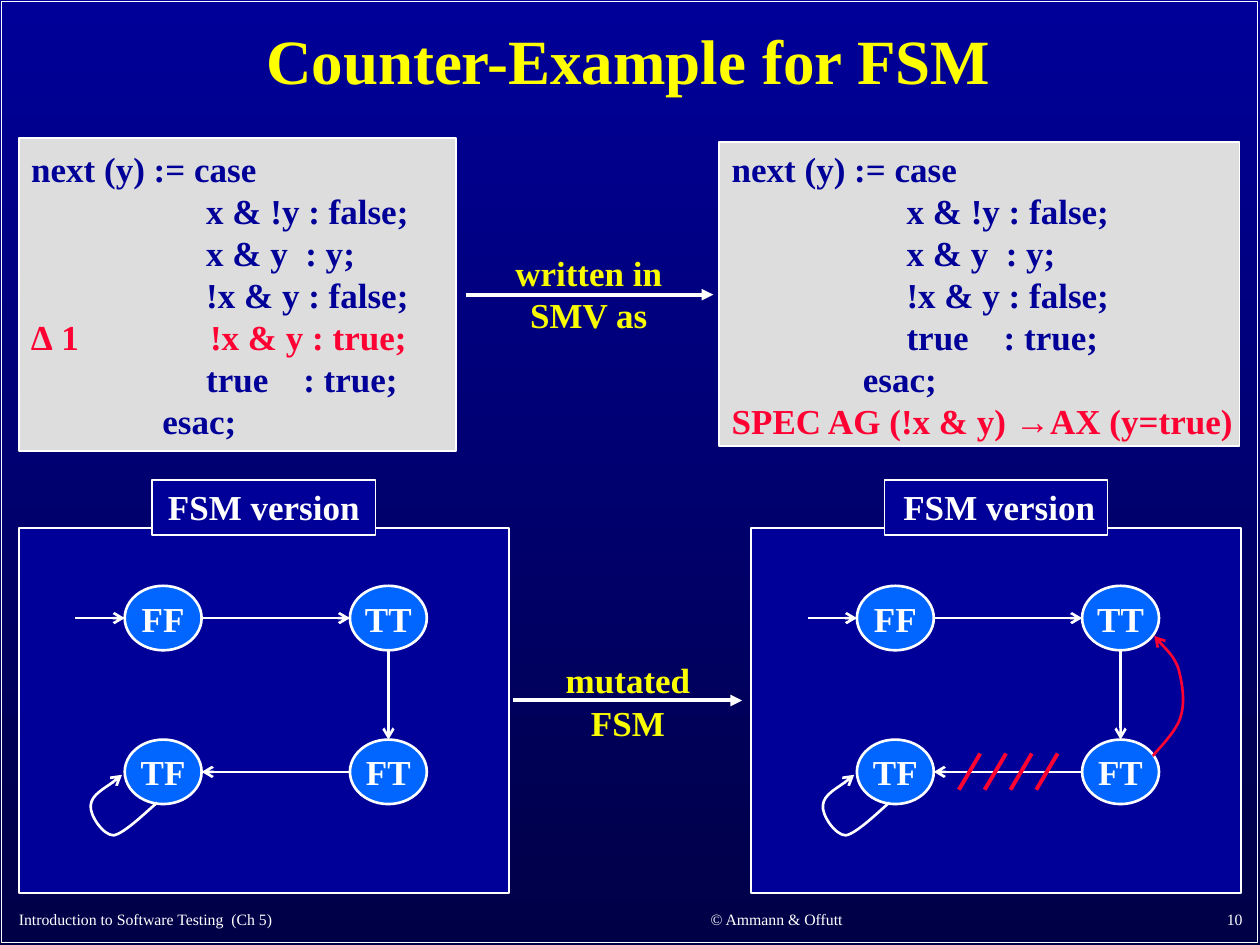
import pptx
import pptx.dml.color
import pptx.enum.shapes
import pptx.enum.text
import pptx.oxml
import pptx.oxml.ns
import pptx.util
from pptx.util import Cm

COLORS = {
    "navy": "000099", "midnight": "000047", "white": "FFFFFF", "gray": "DDDDDD",
    "yellow": "FFFF00", "lemon": "FAFD00", "red": "FF0033", "blue": "0066FF",
}
SHAPES = pptx.enum.shapes.MSO_SHAPE
ALIGN = pptx.enum.text.PP_ALIGN
ANCHOR = pptx.enum.text.MSO_ANCHOR

RED = {"color": "red"}
CODE_START = [
    "next (y) := case",
    "                    x & !y : false;",
    "                    x & y  : y;",
    "                    !x & y : false;",
]
CODE_END = ["                    true    : true;", "               esac;"]
MUTANT = [("∆ 1               !x & y : true;", RED)]
SPECIFICATION = [
    ("SPEC AG (!x & y) ", RED),
    ("→", {"color": "red", "font": "Arial"}),
    ("AX (y=true)", RED),
]

# Lengths below are centimetres; those of a machine start at its panel's corner.
NODE_WIDTH, NODE_HEIGHT = 1.55, 1.3
LEFT_COLUMN, RIGHT_COLUMN = 2.91, 7.45
TOP_ROW, BOTTOM_ROW = 1.82, 4.92
SELF_LOOP = [(2.79, 5.54), (2.64, 5.66), (2.13, 6.17), (1.91, 6.2), (1.7, 6.2),
             (1.42, 5.79), (1.45, 5.59), (1.47, 5.38), (1.96, 5.11), (2.08, 4.98)]
MUTANT_EDGE = [(8.1, 4.6), (8.2, 4.47), (8.59, 4.09), (8.66, 3.81), (8.76, 3.51),
               (8.69, 3.1), (8.61, 2.82), (8.51, 2.57), (8.23, 2.31), (8.13, 2.18)]


def rgb(name):
    return pptx.dml.color.RGBColor.from_string(COLORS[name])


def write_text(shape, paragraphs, size=20, color="white", font="Times New Roman", bold=True,
               align=ALIGN.LEFT, anchor=ANCHOR.TOP, wrap=True, spacing=None, inset=0.25):
    """Fill a shape with strings or lists of (text, format) runs, one per paragraph."""
    frame = shape.text_frame
    frame.word_wrap = wrap
    frame.vertical_anchor = anchor
    frame.margin_left = frame.margin_right = Cm(inset)
    for index, runs in enumerate(paragraphs):
        paragraph = frame.add_paragraph() if index else frame.paragraphs[0]
        paragraph.alignment = align
        if spacing:
            paragraph.line_spacing = spacing
        for text, changes in [(runs, {})] if isinstance(runs, str) else runs:
            run = paragraph.add_run()
            run.text = text
            run.font.size = pptx.util.Pt(size)
            run.font.bold = bold
            run.font.name = changes.get("font", font)
            run.font.color.rgb = rgb(changes.get("color", color))


def add_text(slide, left, top, width, height, text, **text_format):
    box = slide.shapes.add_textbox(Cm(left), Cm(top), Cm(width), Cm(height))
    write_text(box, [text], **text_format)


def add_box(slide, left, top, width, height, fill=None, kind=SHAPES.RECTANGLE, line_width=1):
    shape = slide.shapes.add_shape(kind, Cm(left), Cm(top), Cm(width), Cm(height))
    shape.shadow.inherit = False
    if fill:
        shape.fill.solid()
        shape.fill.fore_color.rgb = rgb(fill)
    else:
        shape.fill.background()
    shape.line.color.rgb = rgb("white")
    shape.line.width = pptx.util.Pt(line_width)
    return shape


def style_line(shape, color, width, head):
    shape.line.color.rgb = rgb(color)
    shape.line.width = pptx.util.Pt(width)
    if head:
        tail = pptx.oxml.parse_xml(
            f'<a:tailEnd {pptx.oxml.ns.nsdecls("a")} type="{head}"/>')
        shape.line._get_or_add_ln().append(tail)


def add_line(slide, start, end, color="white", width=1.5, head="arrow"):
    line = slide.shapes.add_connector(
        pptx.enum.shapes.MSO_CONNECTOR.STRAIGHT, *(Cm(value) for value in (*start, *end)))
    style_line(line, color, width, head)
    line._element.spPr.append(
        pptx.oxml.parse_xml(f'<a:effectLst {pptx.oxml.ns.nsdecls("a")}/>'))


def add_curve(slide, points, color="white"):
    """Draw an arrow along cubic curves: a start, then three points per curve."""
    points = [(Cm(x), Cm(y)) for x, y in points]
    builder = slide.shapes.build_freeform(*points[0])
    builder.add_line_segments(points[1:], close=False)
    curve = builder.convert_to_shape()
    curve.shadow.inherit = False
    curve.fill.background()
    style_line(curve, color, 1.5, "arrow")
    qn = pptx.oxml.ns.qn
    outline = next(curve._element.iter(qn("a:path")))
    segments = outline.findall(qn("a:lnTo"))
    for first in range(0, len(segments), 3):
        bezier = pptx.oxml.parse_xml(f'<a:cubicBezTo {pptx.oxml.ns.nsdecls("a")}/>')
        outline.append(bezier)
        for segment in segments[first:first + 3]:
            bezier.append(segment[0])
            outline.remove(segment)


def add_code(slide, left, top, width, height, lines):
    box = add_box(slide, left, top, width, height, "gray")
    write_text(box, lines, color="navy", anchor=ANCHOR.MIDDLE, wrap=False)


def add_step(slide, text, text_left, text_top, arrow_left, arrow_right, arrow_y):
    add_text(slide, text_left, text_top, 3.78, 1.96, text, color="lemon", align=ALIGN.CENTER)
    add_line(slide, (arrow_left, arrow_y), (arrow_right, arrow_y), width=2.25, head="triangle")


def add_machine(slide, left, top, label_align):
    def place(x, y):
        return left + x, top + y

    add_box(slide, left, top, 9.88, 7.37, "navy")
    nodes = [("FF", LEFT_COLUMN, TOP_ROW), ("TT", RIGHT_COLUMN, TOP_ROW),
             ("TF", LEFT_COLUMN, BOTTOM_ROW), ("FT", RIGHT_COLUMN, BOTTOM_ROW)]
    for name, x, y in nodes:
        node = add_box(slide, *place(x - NODE_WIDTH / 2, y - NODE_HEIGHT / 2),
                       NODE_WIDTH, NODE_HEIGHT, "blue", SHAPES.OVAL, 1.5)
        write_text(node, [name], align=ALIGN.CENTER, anchor=ANCHOR.MIDDLE, wrap=False, inset=0)
    half_width, half_height = NODE_WIDTH / 2, NODE_HEIGHT / 2
    edges = [
        ((1.14, TOP_ROW), (LEFT_COLUMN - half_width, TOP_ROW)),
        ((LEFT_COLUMN + half_width, TOP_ROW), (RIGHT_COLUMN - half_width, TOP_ROW)),
        ((RIGHT_COLUMN, TOP_ROW + half_height), (RIGHT_COLUMN, BOTTOM_ROW - half_height)),
        ((RIGHT_COLUMN - half_width, BOTTOM_ROW), (LEFT_COLUMN + half_width, BOTTOM_ROW)),
    ]
    for start, end in edges:
        add_line(slide, place(*start), place(*end))
    add_curve(slide, [place(*point) for point in SELF_LOOP])
    label = add_box(slide, *place(2.69, -0.97), 4.5, 1.12, "navy")
    write_text(label, ["FSM version"], align=label_align)


def add_mutation(slide, left, top):
    """Strike out the removed edge and draw the one that replaces it."""
    for index in range(4):
        x = left + 4.62 + 0.52 * index
        add_line(slide, (x, top + 4.55), (x - 0.43, top + 5.28), "red", 2.25, None)
    add_curve(slide, [(left + x, top + y) for x, y in MUTANT_EDGE], "red")


def add_background(slide):
    fill = slide.background.fill
    fill.gradient()
    fill.gradient_angle = 270
    for stop, color in zip(fill.gradient_stops, ("navy", "midnight")):
        stop.color.rgb = rgb(color)


def main():
    presentation = pptx.Presentation()
    presentation.slide_width, presentation.slide_height = Cm(25.4), Cm(19.05)
    slide = presentation.slides.add_slide(presentation.slide_layouts[6])
    add_background(slide)
    add_box(slide, 0.03, 0.03, 25.32, 18.97)
    add_text(slide, 0.36, 0.28, 24.61, 2.01, "Counter-Example for FSM", size=36,
             color="yellow", align=ALIGN.CENTER, anchor=ANCHOR.MIDDLE, spacing=0.9)

    add_code(slide, 0.38, 2.79, 8.81, 6.3, CODE_START + [MUTANT] + CODE_END)
    add_code(slide, 14.5, 2.87, 10.49, 6.12, CODE_START + CODE_END + [SPECIFICATION])
    add_step(slide, "written in SMV as", 9.98, 4.95, 9.4, 14.38, 5.94)

    machine_top, mutant_left = 10.64, 15.14
    add_machine(slide, 0.38, machine_top, ALIGN.CENTER)
    add_machine(slide, mutant_left, machine_top, ALIGN.RIGHT)
    add_mutation(slide, mutant_left, machine_top)
    add_step(slide, "mutated FSM", 10.77, 13.16, 10.34, 14.96, 14.12)

    footers = [
        (0.13, 11.23, "Introduction to Software Testing  (Ch 5)", ALIGN.LEFT),
        (11.63, 8.05, "© Ammann & Offutt", ALIGN.CENTER),
        (20.02, 5.28, "10", ALIGN.RIGHT),
    ]
    for left, width, text, align in footers:
        add_text(slide, left, 18.08, width, 0.76, text, size=9, bold=False,
                 align=align, anchor=ANCHOR.BOTTOM, wrap=False)
    presentation.save("out.pptx")


if __name__ == "__main__":
    main()
